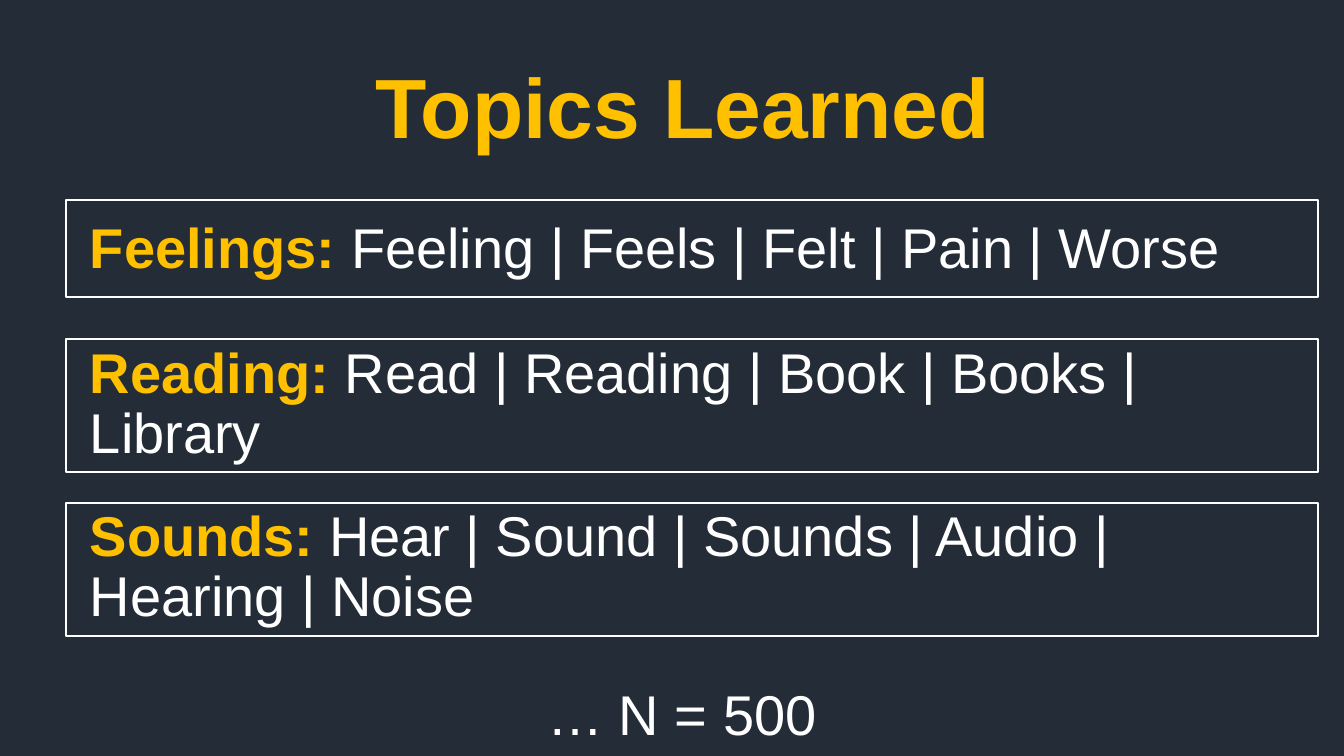
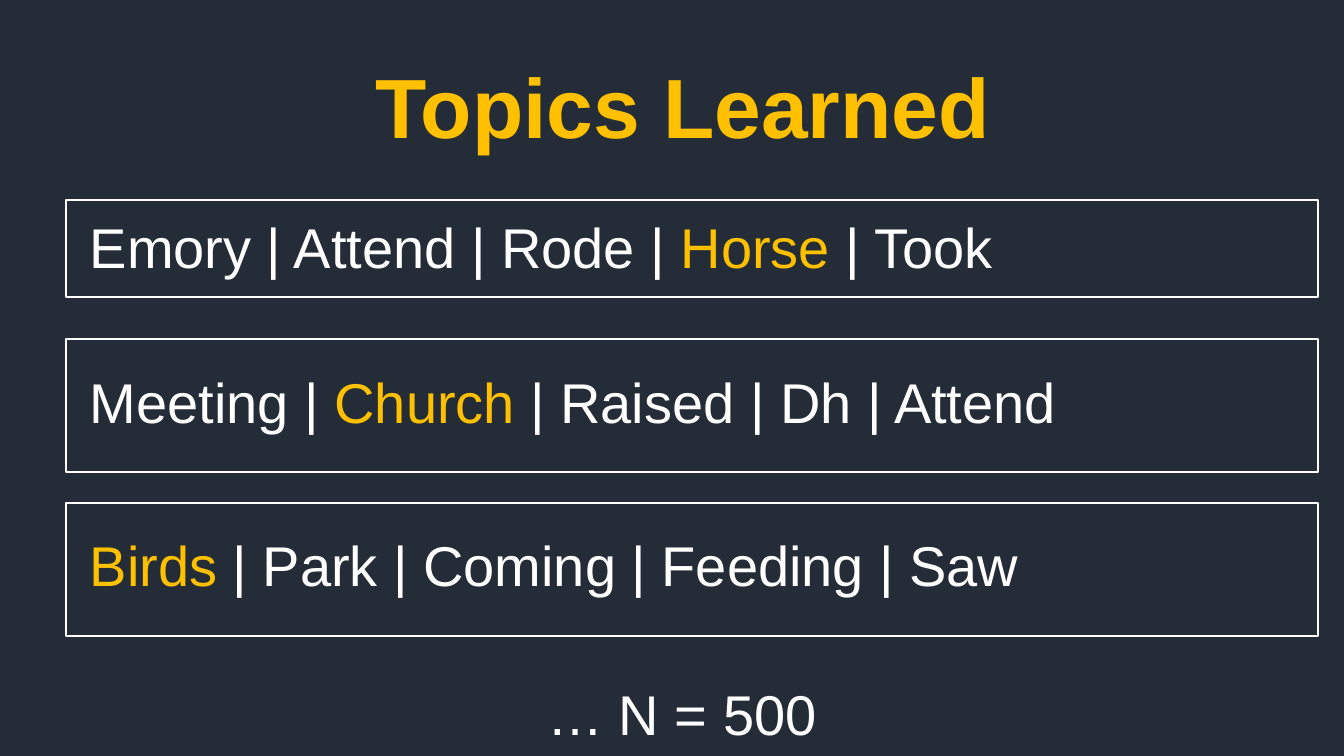
import dataclasses
import pptx
import pptx.dml.color
import pptx.enum.shapes
import pptx.enum.text
import pptx.util


@dataclasses.dataclass(frozen=True)
class Theme:
    back: str = "242C37"
    gold: str = "FFC000"
    white: str = "FFFFFF"
    font: str = "Arial"
    head: int = 60
    body: int = 40
    line: int = 1


theme = Theme()
rgb = pptx.dml.color.RGBColor.from_string
align = pptx.enum.text.PP_ALIGN
scale = 12192000 / 1344


def px(*nums):
    return [pptx.util.Emu(round(num * scale)) for num in nums]


def text(slide, box, runs, size=theme.body, side=align.LEFT):
    frame = slide.shapes.add_textbox(*px(*box)).text_frame
    frame.word_wrap = True
    frame.vertical_anchor = pptx.enum.text.MSO_ANCHOR.MIDDLE
    para = frame.paragraphs[0]
    para.alignment = side
    para.line_spacing = 0.9
    for words, color, bold in runs:
        run = para.add_run()
        run.text = words
        run.font.name = theme.font
        run.font.size = pptx.util.Pt(size)
        run.font.bold = bold
        run.font.color.rgb = rgb(color)


gold, white = theme.gold, theme.white
decks = [
    [
        [("Feelings: ", gold, True), ("Feeling | Feels | Felt | Pain | Worse", white, False)],
        [("Reading: ", gold, True), ("Read | Reading | Book | Books | Library", white, False)],
        [("Sounds: ", gold, True), ("Hear | Sound | Sounds | Audio | Hearing | Noise", white, False)],
    ],
    [
        [("Emory | Attend | Rode | ", white, False), ("Horse", gold, False), (" | Took", white, False)],
        [("Meeting | ", white, False), ("Church", gold, False), (" | Raised | Dh | Attend", white, False)],
        [("Birds", gold, False), (" | Park | Coming | Feeding | Saw", white, False)],
    ],
]
tops = [195, 350, 513]
frames = [(200, 97), (339, 133), (503, 133)]

prs = pptx.Presentation()
prs.slide_width, prs.slide_height = px(1344, 756)
fill = prs.slide_master.background.fill
fill.solid()
fill.fore_color.rgb = rgb(theme.back)

for topics in decks:
    slide = prs.slides.add_slide(prs.slide_layouts[6])
    text(slide, (11, 28, 1344, 166), [("Topics Learned", gold, True)],
         size=theme.head, side=align.CENTER)
    for top, runs in zip(tops, topics):
        text(slide, (80, top, 1225, 111), runs)
    for top, high in frames:
        rect = slide.shapes.add_shape(
            pptx.enum.shapes.MSO_SHAPE.RECTANGLE, *px(66, top, 1252, high))
        rect.shadow.inherit = False
        rect.fill.background()
        rect.line.color.rgb = rgb(white)
        rect.line.width = pptx.util.Pt(theme.line)
    text(slide, (49, 662, 1266, 111), [("… N = 500", white, False)], side=align.CENTER)

prs.save("out.pptx")
